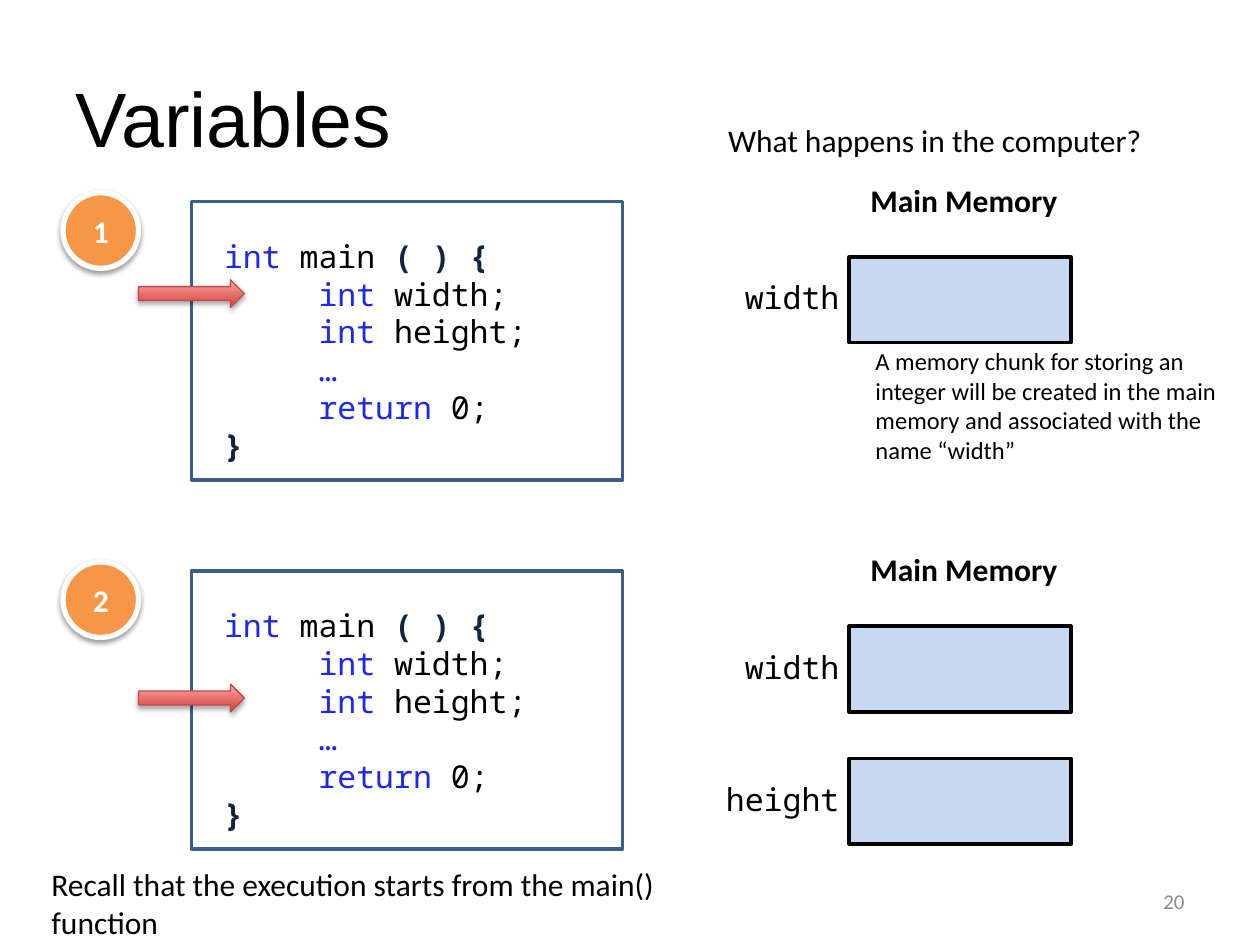
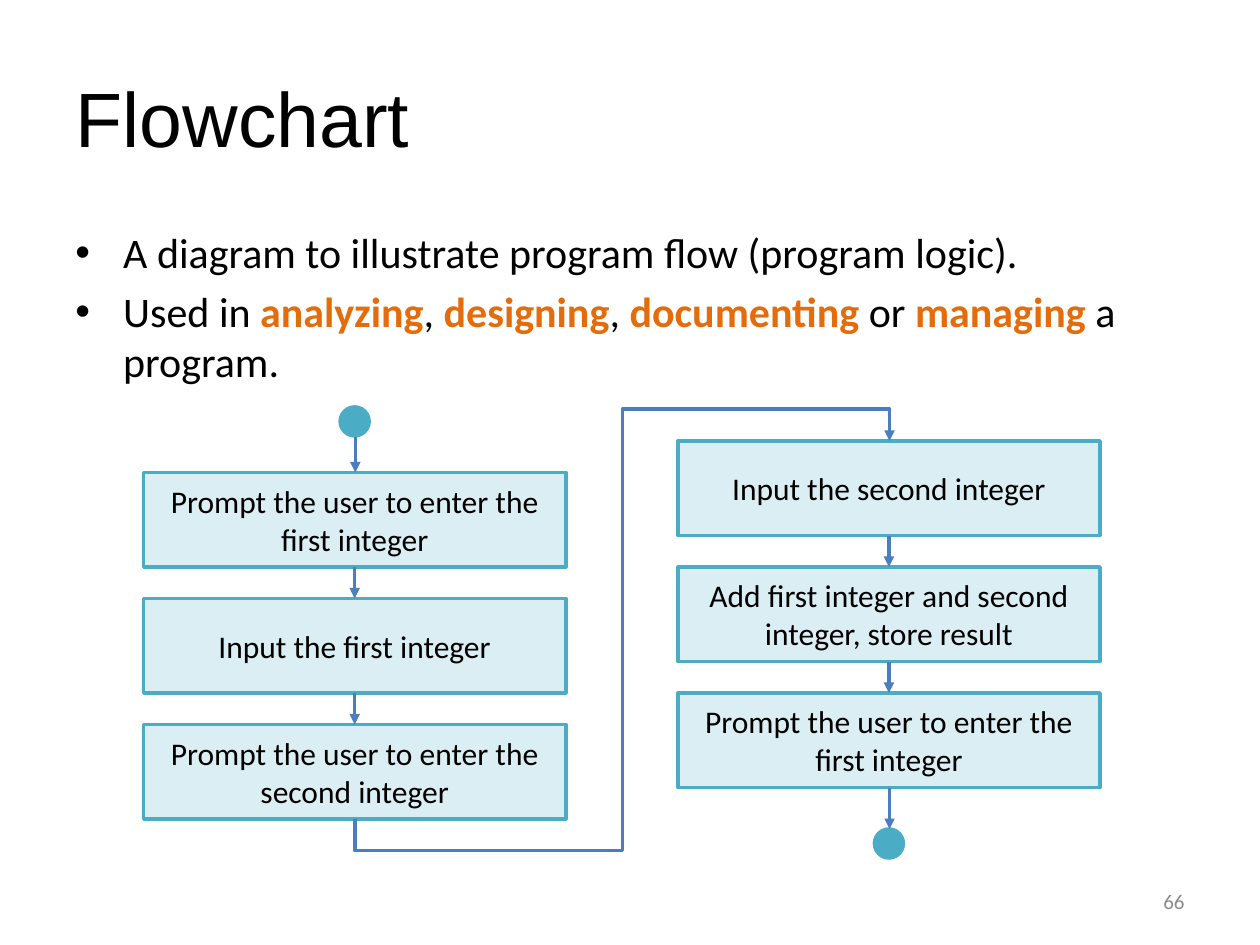
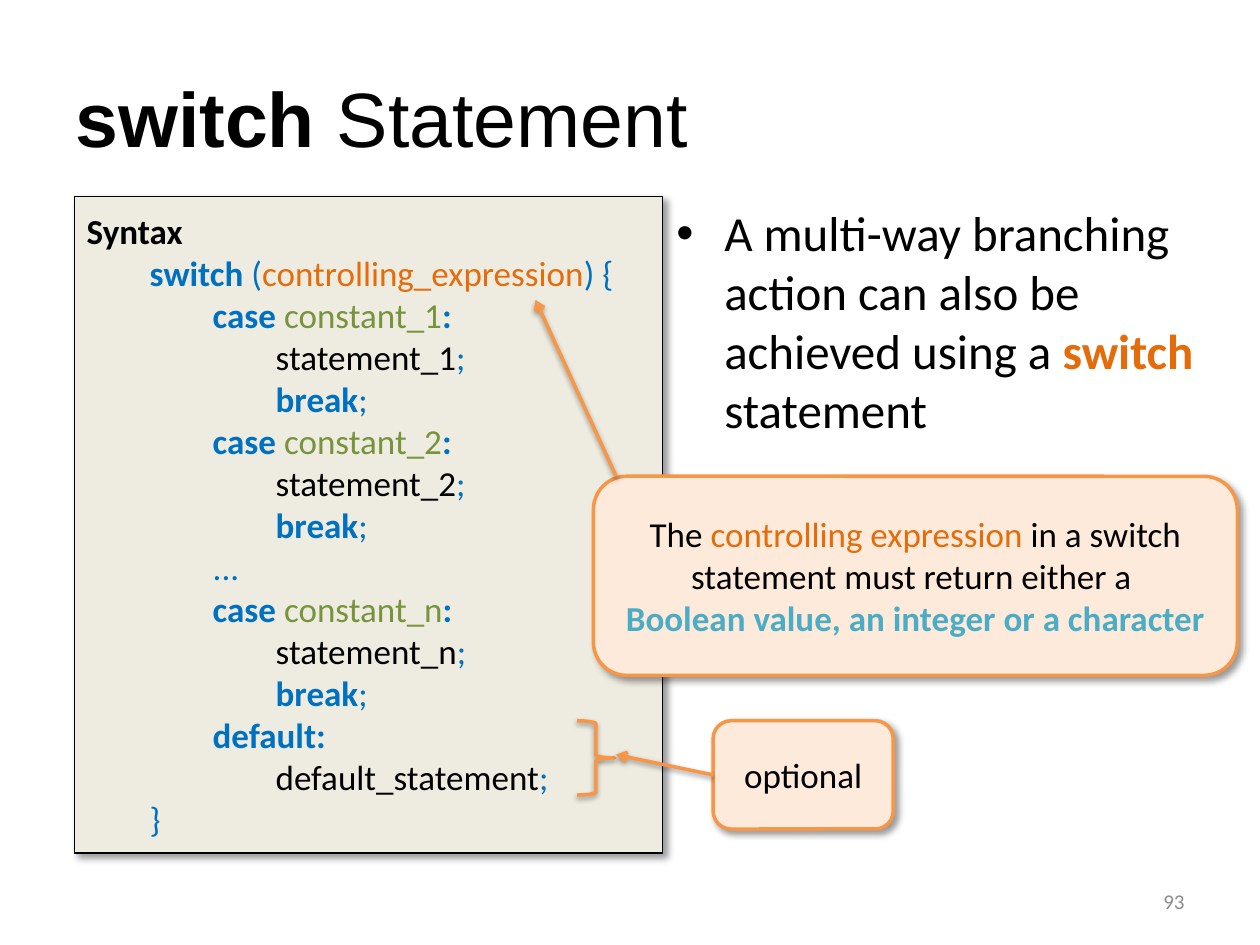
"""Builds three programming lecture slides on variables, flowcharts and switch."""
import pptx
import pptx.dml.color
import pptx.enum.shapes
import pptx.enum.text
import pptx.oxml
import pptx.oxml.ns
import pptx.util
from lxml import etree

Inches = pptx.util.Inches
Pt = pptx.util.Pt
qn = pptx.oxml.ns.qn
SHAPE = pptx.enum.shapes.MSO_SHAPE
CONNECTOR = pptx.enum.shapes.MSO_CONNECTOR
ALIGN = pptx.enum.text.PP_ALIGN
ANCHOR = pptx.enum.text.MSO_ANCHOR

COLORS = {
    "black": "000000", "white": "FFFFFF", "page number": "8C8C8C",
    "frame": "3A5F8C", "keyword": "1E28EA", "bracket": "0F243E",
    "memory": "C6D9F1", "orange": "F79646", "accent": "E46C0A",
    "arrow dark": "D1403C", "arrow light": "FFA6A5", "arrow edge": "BF4C48",
    "teal": "4BACC6", "step": "DBEEF4", "flow": "4B7EBC",
    "syntax": "EEECE1", "code blue": "0070C0", "constant": "77933C",
    "note": "FDEADA",
}
MONO = "Noto Sans Mono"
BODY = "Calibri"
SOFT_SHADOW = {"alpha": 38, "blur": 3.1, "distance": 1.6, "angle": 90}
ARROW_SHADOW = {"alpha": 35, "blur": 3.1, "distance": 1.8, "angle": 90}
CARD_SHADOW = {"alpha": 40, "blur": 4, "distance": 3, "angle": 45}


def rgb(name):
    return pptx.dml.color.RGBColor.from_string(COLORS[name])


def add_child(parent, tag, **attributes):
    return etree.SubElement(parent, qn(tag), {key: str(value) for key, value in attributes.items()})


def write(frame, lines, size=18, font=BODY, color="black", bold=None,
          align=ALIGN.LEFT, bullets=False, tabs=(), gap=0):
    """Fill a frame with lines of spans; a span is text or (text, color, bold)."""
    for index, line in enumerate(lines):
        para = frame.paragraphs[0] if index == 0 else frame.add_paragraph()
        para.alignment = align
        if index and gap:
            para.space_before = Pt(gap)
        properties = para._p.get_or_add_pPr()
        if bullets:
            properties.set("marL", str(Inches(0.38)))
            properties.set("indent", str(-Inches(0.38)))
            add_child(properties, "a:buFont", typeface="Arial")
            add_child(properties, "a:buChar", char="•")
        if tabs:
            stops = add_child(properties, "a:tabLst")
            for stop in tabs:
                add_child(stops, "a:tab", pos=Inches(stop), algn="l")
        para.font.size = Pt(size)
        para.font.name = font
        para.font.bold = bold
        para.font.color.rgb = rgb(color)
        for span in [line] if isinstance(line, str) else line:
            if span == "\v":
                para.add_line_break()
                continue
            text, tint, weight = (span, None, None) if isinstance(span, str) else span
            run = para.add_run()
            run.text = text
            if tint:
                run.font.color.rgb = rgb(tint)
            if weight:
                run.font.bold = True


def add_text(page, left, top, width, height, lines, wrap=True, anchor=ANCHOR.TOP, **style):
    box = page.shapes.add_textbox(Inches(left), Inches(top), Inches(width), Inches(height))
    box.text_frame.word_wrap = wrap
    box.text_frame.vertical_anchor = anchor
    write(box.text_frame, lines, **style)


def set_shadow(shape, shadow=None):
    properties = shape.element.spPr
    effects = properties.find(qn("a:effectLst"))
    if effects is None:
        effects = add_child(properties, "a:effectLst")
    if shadow:
        outer = add_child(effects, "a:outerShdw", blurRad=Pt(shadow["blur"]),
                          dist=Pt(shadow["distance"]), dir=shadow["angle"] * 60000,
                          rotWithShape=0)
        color = add_child(outer, "a:srgbClr", val=COLORS["black"])
        add_child(color, "a:alpha", val=shadow["alpha"] * 1000)


def add_box(page, kind, left, top, width, height, fill=None, line="black",
            weight=2, shadow=None, lines=(), **style):
    shape = page.shapes.add_shape(kind, Inches(left), Inches(top), Inches(width), Inches(height))
    if fill:
        shape.fill.solid()
        shape.fill.fore_color.rgb = rgb(fill)
    else:
        shape.fill.background()
    shape.line.color.rgb = rgb(line)
    shape.line.width = Pt(weight)
    shape.shadow.inherit = False
    set_shadow(shape, shadow)
    shape.text_frame.word_wrap = True
    shape.text_frame.vertical_anchor = ANCHOR.MIDDLE
    write(shape.text_frame, lines, **style)
    return shape


def add_arrow(page, start, end, color, head="triangle", shadow=None, kind=CONNECTOR.STRAIGHT):
    arrow = page.shapes.add_connector(kind, *(Inches(value) for value in (*start, *end)))
    arrow.line.color.rgb = rgb(color)
    arrow.line.width = Pt(2)
    add_child(arrow.element.spPr.find(qn("a:ln")), "a:tailEnd", type=head)
    set_shadow(arrow, shadow)
    return arrow


def add_page(deck, title, number):
    page = deck.slides.add_slide(deck.slide_layouts[5])
    holder = page.shapes.title
    holder.left, holder.top = Inches(0.5), Inches(0.3)
    holder.width, holder.height = Inches(9), Inches(1.25)
    holder.text_frame.vertical_anchor = ANCHOR.MIDDLE
    write(holder.text_frame, [title], size=44, font="Arial")
    add_text(page, 7.17, 6.95, 2.33, 0.4, [str(number)], anchor=ANCHOR.MIDDLE,
             size=12, color="page number", align=ALIGN.RIGHT)
    return page


def add_execution_step(page, number, top, arrow_top, variables):
    """Show the program, the line being run and the memory after it."""
    code = [
        [("int", "keyword", False), " main ", ("( ) {", "bracket", True)],
        ["     ", ("int", "keyword", False), " width;"],
        ["     ", ("int", "keyword", False), " height;"],
        [("     …", "keyword", False)],
        [("     return", "keyword", False), " 0;"],
        [("}", "bracket", True)],
    ]
    add_box(page, SHAPE.RECTANGLE, 1.52, top + 0.07, 3.42, 2.21, line="frame")
    add_text(page, 1.68, top + 0.3, 3.17, 1.92, code, font=MONO)
    add_box(page, SHAPE.OVAL, 0.5, top, 0.6, 0.6, "orange", "white", 3, SOFT_SHADOW,
            [str(number)], color="white", bold=True, align=ALIGN.CENTER)
    pointer = add_box(page, SHAPE.RIGHT_ARROW, 1.1, arrow_top, 0.84, 0.22,
                      line="arrow edge", weight=0.75, shadow=ARROW_SHADOW)
    pointer.fill.gradient()
    pointer.fill.gradient_angle = 90
    for stop, color in zip(pointer.fill.gradient_stops, ("arrow dark", "arrow light")):
        stop.color.rgb = rgb(color)
    add_text(page, 6.81, top - 0.14, 1.7, 0.4, ["Main Memory"], wrap=False, bold=True)
    for index, name in enumerate(variables):
        cell_top = top + 0.51 + 1.05 * index
        add_box(page, SHAPE.RECTANGLE, 6.74, cell_top, 1.76, 0.68, "memory")
        add_text(page, 5.56, cell_top + 0.12, 1.2, 0.4, [name], font=MONO, align=ALIGN.RIGHT)


def build_variables(deck):
    page = add_page(deck, "Variables", 20)
    add_execution_step(page, 1, 1.53, 2.22, ["width"])
    add_execution_step(page, 2, 4.46, 5.43, ["width", "height"])
    add_text(page, 5.68, 0.91, 3.49, 0.4, ["What happens in the computer?"], wrap=False)
    add_text(page, 0.31, 6.82, 5.2, 0.7,
             ["Recall that the execution starts from the main() function"])
    add_text(page, 6.85, 2.7, 2.94, 1.04,
             ["A memory chunk for storing an integer will be created in the main "
              "memory and associated with the name “width”"], size=14)


def add_flow_column(page, left, top, steps):
    """Stack the steps, joined by arrows, and return their boxes."""
    center = left + 3.35 / 2
    boxes = []
    for index, step in enumerate(steps):
        step_top = top + index
        boxes.append(add_box(page, SHAPE.FLOWCHART_PROCESS, left, step_top, 3.35, 0.75,
                             "step", "teal", lines=[step], align=ALIGN.CENTER))
        if index:
            add_arrow(page, (center, step_top - 0.25), (center, step_top), "flow")
    return boxes


def add_column_link(page, source, target):
    """Lead from below one column, up the gap, to the top of the next."""
    link = add_arrow(page, (2.82, 6.5), (7.06, 3.5), "flow", kind=CONNECTOR.ELBOW)
    link.begin_connect(source, 2)
    link.end_connect(target, 0)
    properties = link.element.spPr
    frame = properties.find(qn("a:xfrm"))
    for key, value in (("rot", "5400000"), ("flipH", "1"), ("flipV", "1")):
        frame.set(key, value)
    link.left, link.top = Inches(3.44), Inches(2.88)
    link.width, link.height = Inches(3), Inches(4.24)
    geometry = properties.find(qn("a:prstGeom"))
    geometry.set("prst", "bentConnector5")
    guides = geometry.find(qn("a:avLst"))
    for index, value in enumerate((-8400, 50000, 108400), 1):
        add_child(guides, "a:gd", name=f"adj{index}", fmla=f"val {value}")


def build_flowchart(deck):
    page = add_page(deck, "Flowchart", 66)
    uses = ["Used in ", ("analyzing", "accent", True), ", ", ("designing", "accent", True),
            ", ", ("documenting ", "accent", True), "or ", ("managing ", "accent", True),
            "a program."]
    add_text(page, 0.5, 1.75, 9, 1.45,
             ["A diagram to illustrate program flow (program logic).", uses],
             size=24, bullets=True, gap=4.8)
    for left, top in ((2.7, 3.23), (6.94, 6.58)):
        add_box(page, SHAPE.FLOWCHART_CONNECTOR, left, top, 0.23, 0.23, "teal", "teal")
    first = add_flow_column(page, 1.14, 3.75, [
        "Prompt the user to enter the first integer",
        "Input the first integer",
        "Prompt the user to enter the second integer"])
    second = add_flow_column(page, 5.38, 3.5, [
        "Input the second integer",
        "Add first integer and second integer, store result",
        "Prompt the user to enter the first integer"])
    add_arrow(page, (2.82, 3.47), (2.82, 3.75), "flow")
    add_arrow(page, (7.06, 6.25), (7.06, 6.58), "flow")
    add_column_link(page, first[-1], second[0])


def case_lines(suffix):
    return [
        [("\t\tcase ", None, True), (f"constant_{suffix}", "constant", False), (":", None, True)],
        ["\t\t\t", (f"statement_{suffix}", "black", False), ";"],
        ["\t\t\t", ("break", None, True), ";"],
    ]


def add_note(page, left, top, width, height, line):
    add_box(page, SHAPE.ROUNDED_RECTANGLE, left, top, width, height, "note", "orange",
            shadow=CARD_SHADOW, lines=[line], size=20, align=ALIGN.CENTER)


def build_switch(deck):
    page = add_page(deck, [("switch", None, True), " Statement"], 93)
    add_text(page, 5.27, 1.56, 4.43, 2.1,
             [["A multi-way branching action can also be achieved using a ",
               ("switch ", "accent", True), "statement"]], size=28, bullets=True)
    syntax = [
        [("Syntax", "black", True)],
        ["\t", ("switch", None, True), " (", ("controlling_expression", "accent", False), ") {"],
        *case_lines("1"),
        *case_lines("2"),
        "\t\t...",
        *case_lines("n"),
        [("\t\tdefault:", None, True)],
        ["\t\t\t", ("default_statement", "black", False), ";"],
        "\t}",
    ]
    add_box(page, SHAPE.RECTANGLE, 0.59, 1.56, 4.67, 5.21, "syntax", weight=0.75,
            shadow=CARD_SHADOW, lines=syntax, size=20, color="code blue", tabs=(0.5, 1, 1.5))
    add_note(page, 4.71, 3.78, 5.11, 1.58,
             ["The ", ("controlling expression ", "accent", False),
              "in a switch statement must return either a ", "\v",
              ("Boolean value, an integer or a character", "teal", True)])
    add_arrow(page, (4.89, 3.78), (4.25, 2.38), "orange", "arrow", SOFT_SHADOW)
    add_note(page, 5.66, 5.72, 1.43, 0.86, "optional")
    add_box(page, SHAPE.RIGHT_BRACE, 4.58, 5.72, 0.3, 0.59, line="orange", shadow=SOFT_SHADOW)
    add_arrow(page, (5.66, 6.15), (4.89, 5.99), "orange", "arrow", SOFT_SHADOW)


def main():
    deck = pptx.Presentation()
    deck.slide_width, deck.slide_height = Inches(10), Inches(7.5)
    build_variables(deck)
    build_flowchart(deck)
    build_switch(deck)
    deck.save("out.pptx")


if __name__ == "__main__":
    main()
